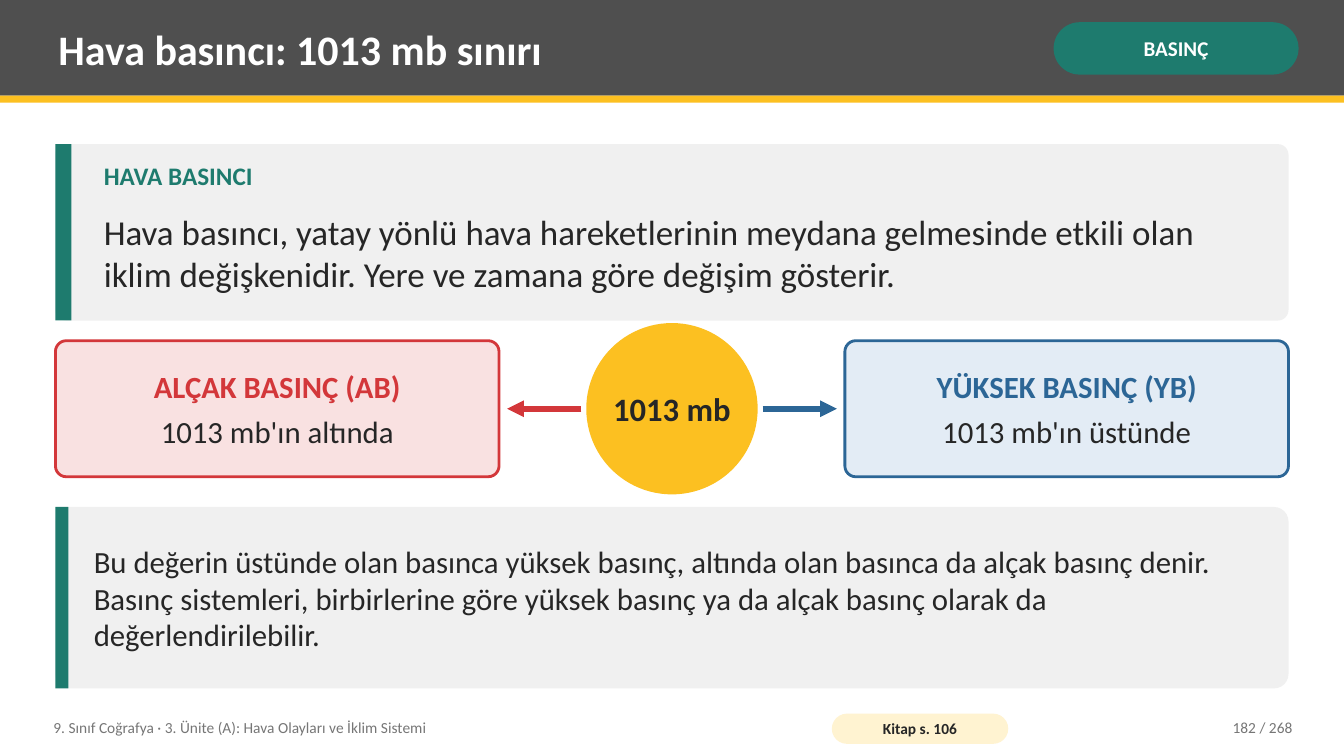
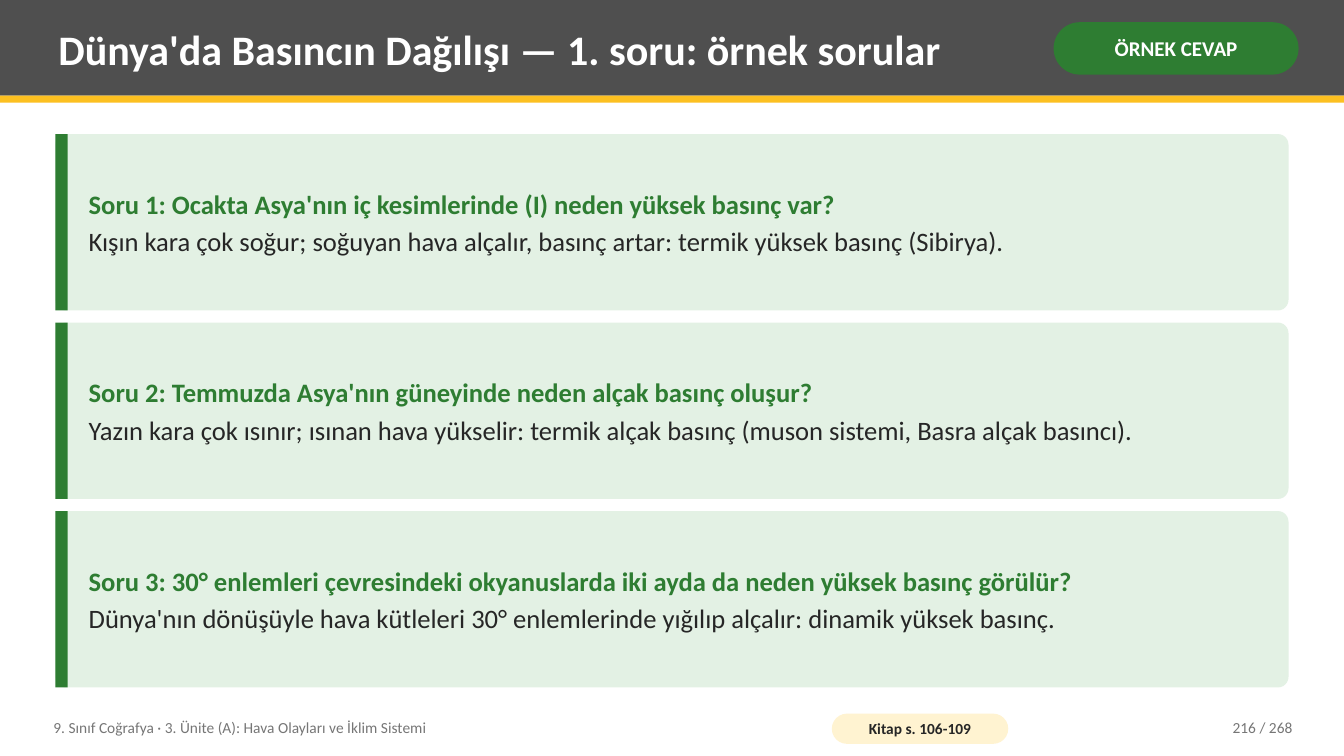
"""Builds two geography lesson slides about air pressure."""
from lxml import etree
from pptx import Presentation
from pptx.dml.color import RGBColor
from pptx.enum.shapes import MSO_CONNECTOR, MSO_SHAPE
from pptx.enum.text import MSO_ANCHOR, PP_ALIGN
from pptx.oxml.ns import qn
from pptx.util import Inches, Pt

RECTANGLE, ROUNDED, OVAL = MSO_SHAPE.RECTANGLE, MSO_SHAPE.ROUNDED_RECTANGLE, MSO_SHAPE.OVAL
STRAIGHT = MSO_CONNECTOR.STRAIGHT
TOP, MIDDLE = MSO_ANCHOR.TOP, MSO_ANCHOR.MIDDLE
LEFT, CENTER, RIGHT = PP_ALIGN.LEFT, PP_ALIGN.CENTER, PP_ALIGN.RIGHT

COLORS = {
    "band": "4F4F4F", "accent": "FCC021", "white": "FFFFFF", "ink": "262626",
    "muted": "767676", "panel": "F0F0F0", "page_tag": "FFF3D1",
    "teal": "1E7B6E", "green": "2E7D32", "green_tint": "E3F1E4",
    "red": "D3373A", "red_tint": "F9E1E1", "blue": "2C6696", "blue_tint": "E3ECF5",
}
FONT = "Calibri"
SLIDE_WIDTH, SLIDE_HEIGHT = 13.33, 7.5
MARGIN = 0.55
CONTENT_WIDTH = SLIDE_WIDTH - 2 * MARGIN
TEXT_INSETS = (0.08, 0.04)

COURSE = "9. Sınıf Coğrafya · 3. Ünite (A): Hava Olayları ve İklim Sistemi"
PAGE_COUNT = 268

PRESSURE = {
    "title": "Hava basıncı: 1013 mb sınırı", "tag": "BASINÇ", "color": "teal",
    "book": "Kitap s. 106", "page": 182,
    "heading": "HAVA BASINCI",
    "definition": "Hava basıncı, yatay yönlü hava hareketlerinin meydana gelmesinde etkili olan "
                  "iklim değişkenidir. Yere ve zamana göre değişim gösterir.",
    "threshold": "1013 mb",
    "sides": [
        ("ALÇAK BASINÇ (AB)", "1013 mb'ın altında", "red"),
        ("YÜKSEK BASINÇ (YB)", "1013 mb'ın üstünde", "blue"),
    ],
    "note": "Bu değerin üstünde olan basınca yüksek basınç, altında olan basınca da alçak basınç "
            "denir. Basınç sistemleri, birbirlerine göre yüksek basınç ya da alçak basınç olarak "
            "da değerlendirilebilir.",
}
ANSWERS = {
    "title": "Dünya'da Basıncın Dağılışı — 1. soru: örnek sorular", "tag": "ÖRNEK CEVAP",
    "color": "green", "book": "Kitap s. 106-109", "page": 216,
    "questions": [
        ("Soru 1: Ocakta Asya'nın iç kesimlerinde (I) neden yüksek basınç var?",
         "Kışın kara çok soğur; soğuyan hava alçalır, basınç artar: termik yüksek basınç "
         "(Sibirya)."),
        ("Soru 2: Temmuzda Asya'nın güneyinde neden alçak basınç oluşur?",
         "Yazın kara çok ısınır; ısınan hava yükselir: termik alçak basınç (muson sistemi, "
         "Basra alçak basıncı)."),
        ("Soru 3: 30° enlemleri çevresindeki okyanuslarda iki ayda da neden yüksek basınç görülür?",
         "Dünya'nın dönüşüyle hava kütleleri 30° enlemlerinde yığılıp alçalır: dinamik yüksek "
         "basınç."),
    ],
}


def rgb(name):
    return RGBColor.from_string(COLORS[name])


def write(shape, lines, size, align=LEFT, anchor=MIDDLE, insets=TEXT_INSETS, gap=0, wrap=True):
    """Fills a shape with one paragraph per (text, color, bold) line."""
    frame = shape.text_frame
    frame.word_wrap = wrap
    frame.vertical_anchor = anchor
    frame.margin_left = frame.margin_right = Inches(insets[0])
    frame.margin_top = frame.margin_bottom = Inches(insets[1])
    for index, (text, color, bold) in enumerate(lines):
        paragraph = frame.paragraphs[0] if index == 0 else frame.add_paragraph()
        paragraph.alignment = align
        if gap and index < len(lines) - 1:
            paragraph.space_after = Pt(gap)
        run = paragraph.add_run()
        run.text = text
        run.font.name = FONT
        run.font.size = Pt(size)
        run.font.bold = bold
        run.font.color.rgb = rgb(color)


def add_text(slide, box, lines, size, **style):
    write(slide.shapes.add_textbox(*map(Inches, box)), lines, size, **style)


def add_block(slide, kind, box, fill, radius=None, outline=None):
    shape = slide.shapes.add_shape(kind, *map(Inches, box))
    shape.shadow.inherit = False
    shape.fill.solid()
    shape.fill.fore_color.rgb = rgb(fill)
    if radius is not None:
        shape.adjustments[0] = radius
    if outline:
        shape.line.color.rgb = rgb(outline)
        shape.line.width = Pt(2)
    else:
        shape.line.fill.background()
    return shape


def add_panel(slide, top, height, fill, bar_color, bar_width, radius):
    """Adds a full-width panel with a coloured bar on its left edge."""
    add_block(slide, ROUNDED, (MARGIN, top, CONTENT_WIDTH, height), fill, radius)
    add_block(slide, RECTANGLE, (MARGIN, top, bar_width, height), bar_color)


def add_arrow(slide, start, end, y, color):
    arrow = slide.shapes.add_connector(STRAIGHT, *map(Inches, (start, y, end, y)))
    arrow.line.color.rgb = rgb(color)
    arrow.line.width = Pt(4)
    etree.SubElement(arrow.line._get_or_add_ln(), qn("a:tailEnd"), type="triangle")
    etree.SubElement(arrow._element.spPr, qn("a:effectLst"))


def add_frame(presentation, content):
    """Adds a slide with the shared header and footer."""
    slide = presentation.slides.add_slide(presentation.slide_layouts[6])
    add_block(slide, RECTANGLE, (0, 0, SLIDE_WIDTH, 0.95), "band")
    add_block(slide, RECTANGLE, (0, 0.95, SLIDE_WIDTH, 0.07), "accent")
    add_text(slide, (0.5, 0.07, 9.75, 0.82), [(content["title"], "white", True)], 30)
    tag = add_block(slide, ROUNDED, (10.45, 0.22, 2.43, 0.52), content["color"], 0.5)
    write(tag, [(content["tag"], "white", True)], 15, align=CENTER, insets=(0.05, 0.02))
    add_text(slide, (0.45, 7.04, 7.6, 0.36), [(COURSE, "muted", False)], 11)
    book = add_block(slide, ROUNDED, (8.25, 7.08, 1.75, 0.3), "page_tag", 0.5)
    write(book, [(content["book"], "ink", True)], 11, align=CENTER, insets=(0.04, 0))
    page = f"{content['page']} / {PAGE_COUNT}"
    add_text(slide, (11.3, 7.04, 1.6, 0.36), [(page, "muted", False)], 11, align=RIGHT)
    return slide


def build_pressure(presentation, content):
    slide = add_frame(presentation, content)
    color = content["color"]
    add_panel(slide, 1.43, 1.75, "panel", color, 0.16, 0.06)
    add_text(slide, (0.95, 1.55, 11.63, 0.45), [(content["heading"], color, True)], 18, anchor=TOP)
    add_text(slide, (0.95, 1.98, 11.63, 1.05), [(content["definition"], "ink", False)], 25)

    card_top, card_width, card_height = 3.38, 4.4, 1.35
    center_x, center_y = SLIDE_WIDTH / 2, card_top + card_height / 2
    diameter = 1.7
    radius = diameter / 2
    circle_box = (center_x - radius, center_y - radius, diameter, diameter)
    circle = add_block(slide, OVAL, circle_box, "accent")
    write(circle, [(content["threshold"], "ink", True)], 23.3, align=CENTER, insets=(0, 0),
          wrap=False)

    arrow_start = radius + 0.05
    arrow_end = CONTENT_WIDTH / 2 - card_width - 0.08
    for direction, (name, rule, tone) in zip((-1, 1), content["sides"]):
        card_center = center_x + direction * (CONTENT_WIDTH - card_width) / 2
        card_box = (card_center - card_width / 2, card_top, card_width, card_height)
        card = add_block(slide, ROUNDED, card_box, f"{tone}_tint", 0.08, tone)
        write(card, [(name, tone, True), (rule, "ink", False)], 22, align=CENTER,
              insets=(0.14, 0.08), gap=6)
        add_arrow(slide, center_x + direction * arrow_start, center_x + direction * arrow_end,
                  center_y, tone)

    add_panel(slide, 5.03, 1.8, "panel", color, 0.13, 0.08)
    add_text(slide, (0.85, 5.03, 11.78, 1.8), [(content["note"], "ink", False)], 22)


def build_answers(presentation, content):
    slide = add_frame(presentation, content)
    color = content["color"]
    first_top, height, gap, padding = 1.33, 1.75, 0.12, 0.06
    for row, (question, answer) in enumerate(content["questions"]):
        top = first_top + row * (height + gap)
        add_panel(slide, top, height, f"{color}_tint", color, 0.12, 0.06)
        add_text(slide, (0.8, top + padding, 11.88, height - 2 * padding),
                 [(question, color, True), (answer, "ink", False)], 19, gap=4)


def main():
    presentation = Presentation()
    presentation.slide_width = Inches(SLIDE_WIDTH)
    presentation.slide_height = Inches(SLIDE_HEIGHT)
    build_pressure(presentation, PRESSURE)
    build_answers(presentation, ANSWERS)
    presentation.save("out.pptx")


if __name__ == "__main__":
    main()
